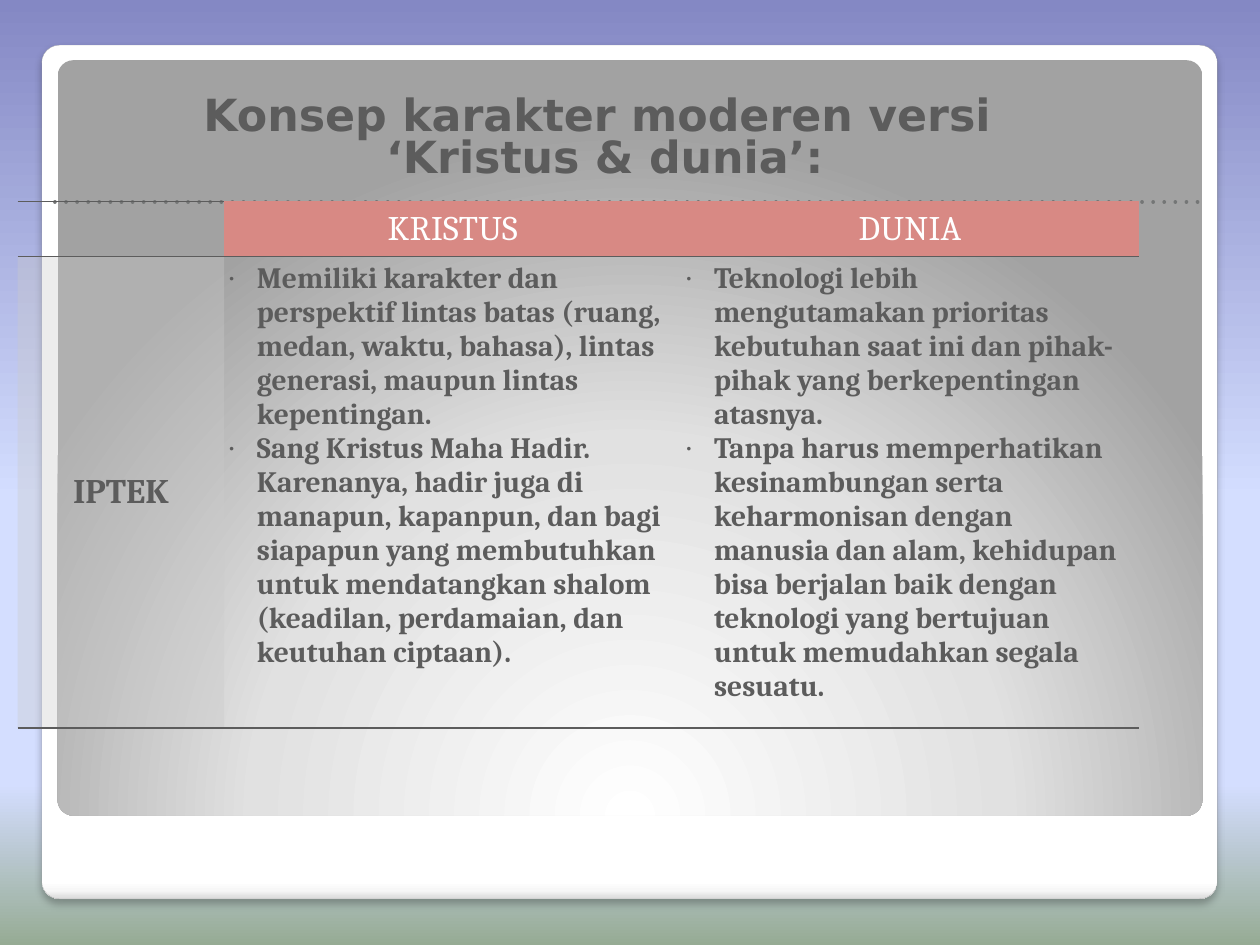
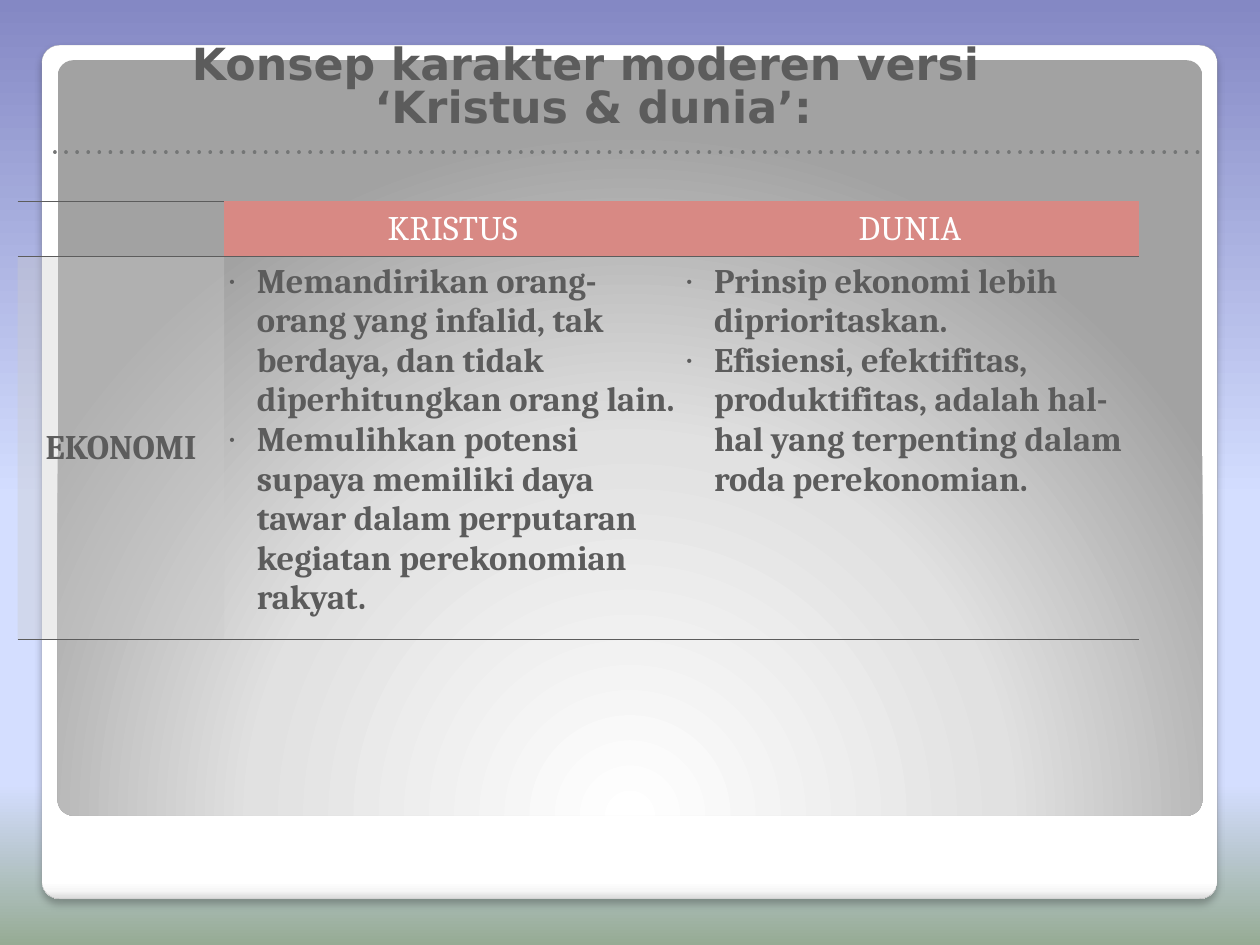
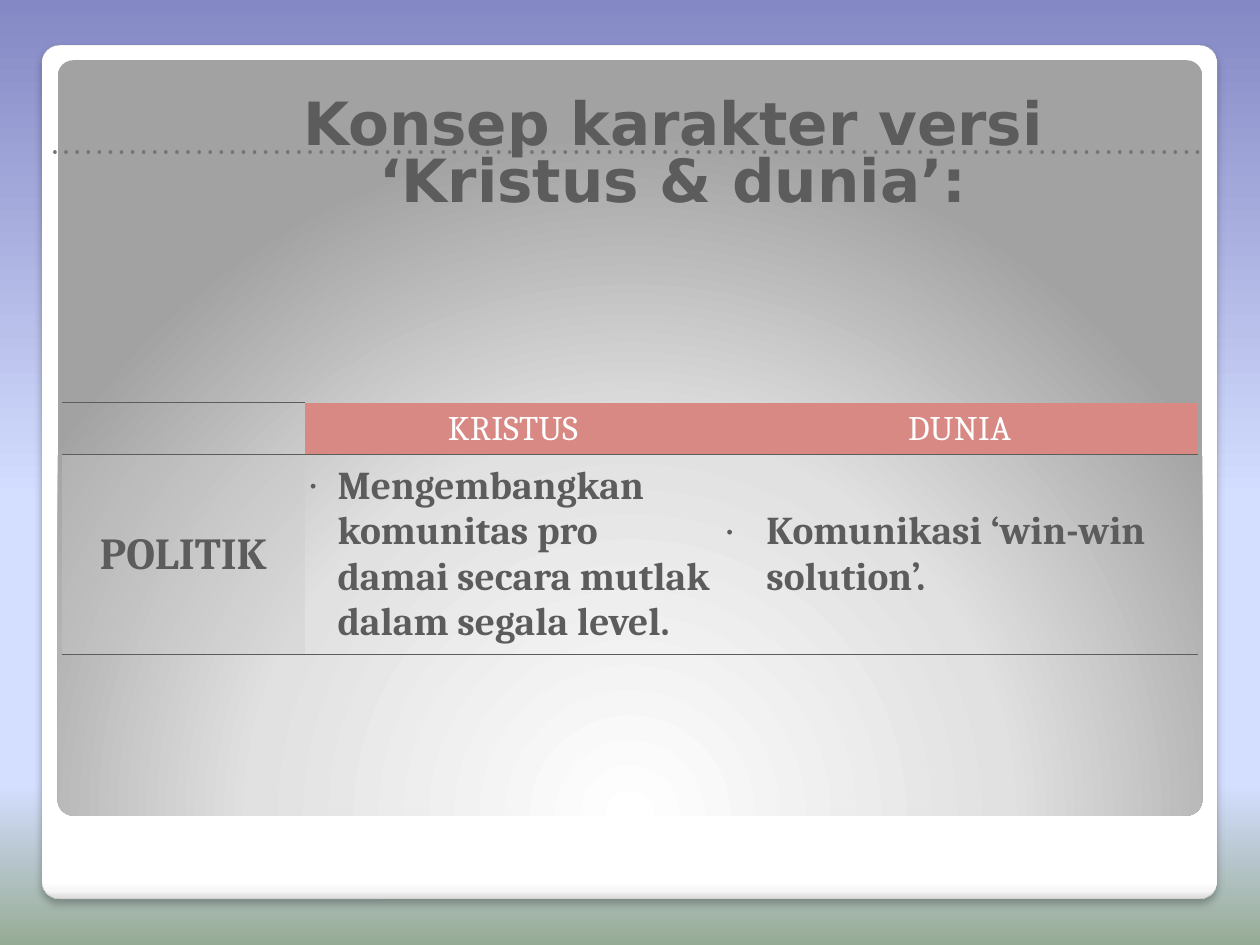
import pptx
import pptx.util
import pptx.dml.color
import pptx.enum.shapes
import pptx.enum.text
import pptx.oxml
import pptx.oxml.ns

Inches = pptx.util.Inches
Pt = pptx.util.Pt
qn = pptx.oxml.ns.qn
NS = pptx.oxml.ns.nsdecls("a")
ALIGN = pptx.enum.text.PP_ALIGN
ANCHOR = pptx.enum.text.MSO_ANCHOR

HUES = {
    "ink": "5C5C5C",
    "white": "FFFFFF",
    "head": "D88984",
    "side": "CBCBCB",
    "edge": "A4A4A4",
    "dots": "747676",
}
SKY = [(0, "8488C4"), (53, "D4DEFF"), (83, "D4DEFF"), (100, "96AB94")]
CARD = [(0, "FFFFFF"), (98, "FFFFFF"), (99, "F7F7F7"), (100, "DADADA")]
PANEL = [(0, "FFFFFF"), (55, "E1E1E1"), (100, "A2A2A2")]
DOWN = '<a:lin {ns} ang="5400000" scaled="0"/>'
GLOW = ('<a:path {ns} path="circle"><a:fillToRect l="50000" t="175000" '
        'r="50000" b="-75000"/></a:path>')
SHADE = ('<a:effectLst {ns}><a:outerShdw blurRad="76200" dist="50800" dir="5400000" '
         'algn="t" rotWithShape="0"><a:srgbClr val="000000"><a:alpha val="25000"/>'
         '</a:srgbClr></a:outerShdw></a:effectLst>')
PLAIN = "{2D5ABB26-0587-4C30-8999-92F81FD0307C}"


def node(text):
    return pptx.oxml.parse_xml(text.replace("{ns}", NS))


def tint(name):
    return pptx.dml.color.RGBColor.from_string(HUES[name])


class Deck:
    face = "Cambria"
    bold = "DejaVu Sans"

    def __init__(self):
        self.prs = pptx.Presentation()
        self.prs.slide_width = Inches(14.22)
        self.prs.slide_height = Inches(10.67)
        self.slide = None

    def blend(self, fill, root, stops, way):
        fill.gradient()
        grad = next(root.iter(qn("a:gradFill")))
        for kid in list(grad):
            grad.remove(kid)
        rows = "".join(f'<a:gs pos="{pos * 1000}"><a:srgbClr val="{hue}"/></a:gs>'
                       for pos, hue in stops)
        grad.append(node(f"<a:gsLst {{ns}}>{rows}</a:gsLst>"))
        grad.append(node(way))

    def plate(self, x, y, w, h, stops, way):
        kind = pptx.enum.shapes.MSO_SHAPE.ROUNDED_RECTANGLE
        box = self.slide.shapes.add_shape(kind, Inches(x), Inches(y), Inches(w), Inches(h))
        box.adjustments[0] = 0.021
        box.line.fill.background()
        self.blend(box.fill, box._element.spPr, stops, way)
        return box

    def page(self):
        self.slide = self.prs.slides.add_slide(self.prs.slide_layouts[6])
        back = self.slide.background
        self.blend(back.fill, self.slide._element, SKY, DOWN)
        card = self.plate(0.47, 0.51, 13.27, 9.64, CARD, DOWN)
        card.line.color.rgb = tint("edge")
        card.line.width = Pt(0.16)
        card._element.spPr.append(node(SHADE))
        panel = self.plate(0.65, 0.68, 12.92, 8.53, PANEL, GLOW)
        panel.shadow.inherit = False

    def rule(self, y):
        kind = pptx.enum.shapes.MSO_CONNECTOR.STRAIGHT
        line = self.slide.shapes.add_connector(
            kind, Inches(0.62), Inches(y), Inches(13.6), Inches(y))
        line.line.color.rgb = tint("dots")
        line.line.width = Pt(3)
        ln = line.line._get_or_add_ln()
        ln.set("cap", "rnd")
        ln.append(node('<a:custDash {ns}><a:ds d="100000" sp="200000"/></a:custDash>'))
        line._element.spPr.append(node("<a:effectLst {ns}/>"))

    def style(self, para, size, hue, bold=False, face=None):
        for run in para.runs:
            run.font.size = Pt(size)
            run.font.name = face or self.face
            run.font.bold = bold
            run.font.color.rgb = tint(hue)

    def title(self, text, x, y, w, h, size):
        box = self.slide.shapes.add_textbox(Inches(x), Inches(y), Inches(w), Inches(h))
        frame = box.text_frame
        frame.word_wrap = True
        frame.vertical_anchor = ANCHOR.BOTTOM
        frame.margin_left = frame.margin_right = Inches(0.14)
        frame.margin_top = frame.margin_bottom = Inches(0.07)
        frame.text = text
        para = frame.paragraphs[0]
        para.alignment = ALIGN.CENTER
        para.line_spacing = 0.8
        self.style(para, size, "ink", True, self.bold)

    def border(self, cell, sides):
        props = cell._tc.get_or_add_tcPr()
        for spot, side in enumerate(sides):
            props.insert(spot, node(
                f'<a:ln{side} {{ns}} w="12700"><a:solidFill><a:srgbClr val="{HUES["ink"]}"/>'
                f'</a:solidFill></a:ln{side}>'))

    def cell(self, cell, text, size, hue, bold, fill=None, mid=True):
        cell.margin_left = cell.margin_right = Inches(0.06)
        cell.margin_top = cell.margin_bottom = Inches(0.06)
        cell.vertical_anchor = ANCHOR.MIDDLE if mid else ANCHOR.TOP
        if fill:
            cell.fill.solid()
            cell.fill.fore_color.rgb = tint(fill)
        else:
            cell.fill.background()
        cell.text_frame.text = text
        for para in cell.text_frame.paragraphs:
            para.alignment = ALIGN.CENTER
            self.style(para, size, hue, bold)

    def bullet(self, para, dent):
        para.alignment = ALIGN.LEFT
        props = para._p.get_or_add_pPr()
        props.set("marL", str(Inches(dent)))
        props.set("indent", str(-Inches(dent)))
        props.append(node('<a:buSzPct {ns} val="45000"/>'))
        props.append(node('<a:buFont {ns} typeface="Arial"/>'))
        props.append(node('<a:buChar {ns} char="•"/>'))

    def table(self, x, y, cols, rows, label, big, size, lists, dents, mid):
        item = self.slide.shapes.add_table(
            2, 3, Inches(x), Inches(y), Inches(sum(cols)), Inches(sum(rows)))
        grid = item.table
        grid.first_row = grid.horz_banding = False
        grid._tbl.tblPr.find(qn("a:tableStyleId")).text = PLAIN
        for col, wide in zip(grid.columns, cols):
            col.width = Inches(wide)
        for row, high in zip(grid.rows, rows):
            row.height = Inches(high)
        self.cell(grid.cell(0, 0), "", 28, "ink", False)
        self.border(grid.cell(0, 0), "T")
        for col, name in enumerate(("KRISTUS", "DUNIA"), 1):
            head = grid.cell(0, col)
            self.cell(head, name, 28, "white", False, "head")
            head.text_frame.paragraphs[0].runs[0]._r.get_or_add_rPr().set("spc", "30")
        side = grid.cell(1, 0)
        self.cell(side, label, big, "ink", True, "side")
        hue = next(side._tc.tcPr.iter(qn("a:srgbClr")))
        hue.append(node('<a:alpha {ns} val="36000"/>'))
        for col, (lines, dent) in enumerate(zip(lists, dents), 1):
            body = grid.cell(1, col)
            self.cell(body, "\n".join(lines), size, "ink", True, mid=mid)
            for para in body.text_frame.paragraphs:
                self.bullet(para, dent)
        for col in range(3):
            self.border(grid.cell(1, col), "TB")


MODERN = "Konsep karakter moderen versi\v ‘Kristus & dunia’:"
WIDE = (2.33, 5.16, 5.16)
PAGES = [
    {
        "rule": 2.28,
        "title": (MODERN, 1.31, 1.51, 10.86, 0.62, 36),
        "table": (0.2, 2.27, WIDE, (0.63, 5.1), "IPTEK", 28, 24, (
            ("Memiliki karakter dan perspektif lintas batas (ruang, medan, waktu, bahasa), "
             "lintas generasi, maupun lintas kepentingan.",
             "Sang Kristus Maha Hadir. Karenanya, hadir juga di manapun, kapanpun, dan bagi "
             "siapapun yang membutuhkan untuk mendatangkan shalom (keadilan, perdamaian, dan "
             "keutuhan ciptaan)."),
            ("Teknologi lebih mengutamakan prioritas kebutuhan saat ini dan pihak-pihak yang "
             "berkepentingan atasnya.",
             "Tanpa harus memperhatikan kesinambungan serta keharmonisan dengan manusia dan "
             "alam, kehidupan bisa berjalan baik dengan teknologi yang bertujuan untuk "
             "memudahkan segala sesuatu."),
        ), (0.31, 0.31), False),
    },
    {
        "rule": 1.72,
        "title": (MODERN, 1.04, 0.94, 11.14, 0.62, 36),
        "table": (0.2, 2.27, WIDE, (0.63, 4.13), "EKONOMI", 28, 28, (
            ("Memandirikan orang-orang yang infalid, tak berdaya, dan tidak diperhitungkan "
             "orang lain.",
             "Memulihkan potensi supaya memiliki daya tawar dalam perputaran kegiatan "
             "perekonomian rakyat."),
            ("Prinsip ekonomi lebih diprioritaskan.",
             "Efisiensi, efektifitas, produktifitas, adalah hal-hal yang terpenting dalam "
             "roda perekonomian."),
        ), (0.31, 0.31), False),
    },
    {
        "rule": 1.72,
        "title": ("Konsep karakter versi ‘Kristus & dunia’:", 2.37, 0.96, 10.45, 1.53, 48.4),
        "table": (0.7, 4.55, (2.74, 4.7, 5.38), (0.55, 2.17), "POLITIK", 36, 32, (
            ("Mengembangkan komunitas pro damai secara mutlak dalam segala level.",),
            ("Komunikasi ‘win-win solution’.",),
        ), (0.31, 0.45), True),
    },
]


def main():
    deck = Deck()
    for page in PAGES:
        deck.page()
        deck.rule(page["rule"])
        deck.title(*page["title"])
        deck.table(*page["table"])
    deck.prs.save("out.pptx")


if __name__ == "__main__":
    main()
